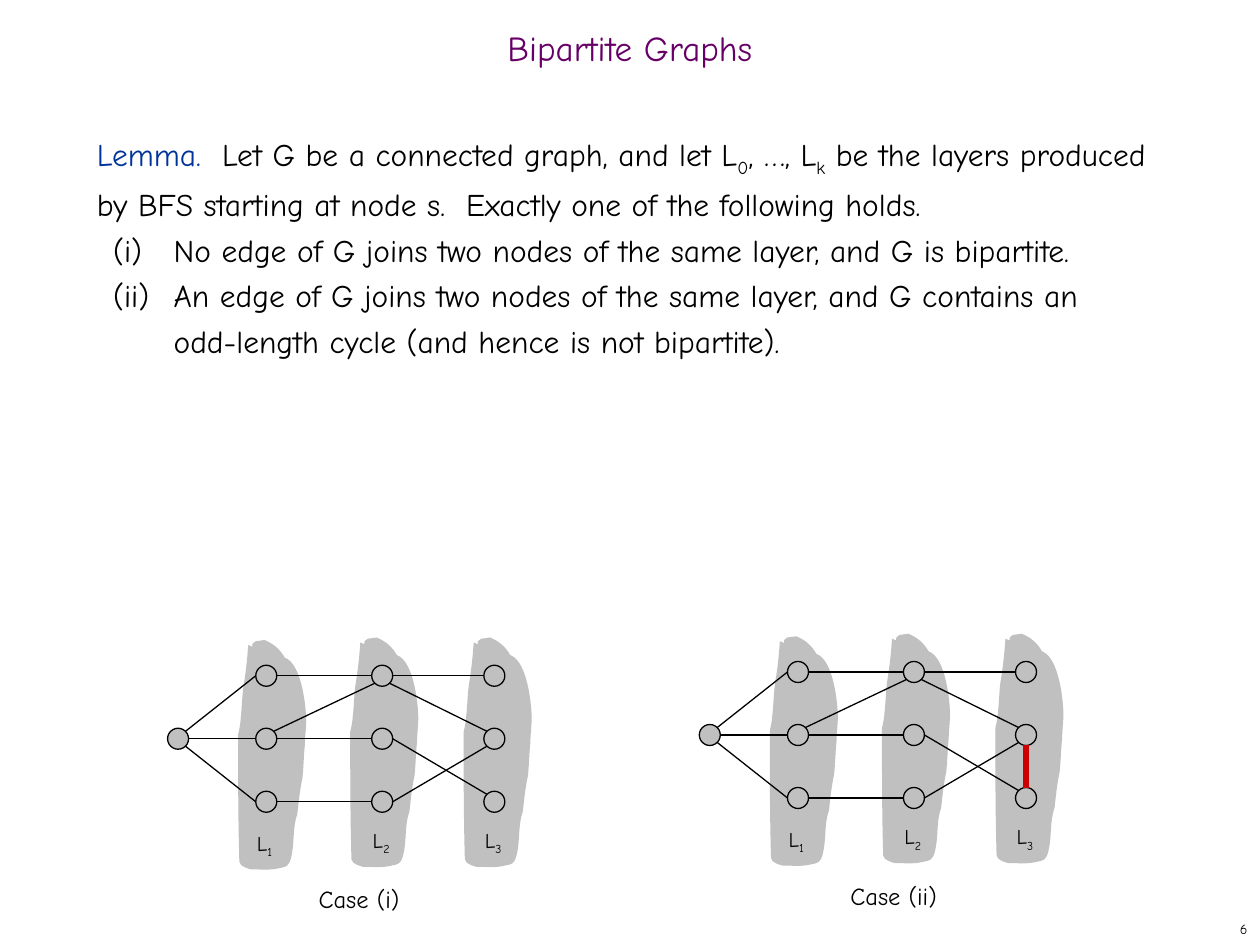
from dataclasses import dataclass
from typing import NamedTuple

from pptx import Presentation
from pptx.dml.color import RGBColor as RGB
from pptx.enum.shapes import MSO_CONNECTOR as CXN, MSO_SHAPE as SHAPE
from pptx.enum.text import MSO_ANCHOR as ANCHOR, MSO_AUTO_SIZE as AUTO, PP_ALIGN as ALIGN
from pptx.oxml.ns import qn
from pptx.util import Inches, Pt

BLACK = RGB(0x00, 0x00, 0x00)
GRAY = RGB(0xC0, 0xC0, 0xC0)
PURPLE = RGB(0x66, 0x00, 0x66)
BLUE = RGB(0x00, 0x33, 0x99)
RED = RGB(0xCC, 0x00, 0x00)
FONT = "Comic Neue"

WIDTH, HEIGHT = 10, 7.5
NODE, DIAG = 1 / 6, 0.06
COLUMNS = (1.33, 2.03, 2.95, 3.84)  # left sides of the nodes: the root, then layers 1 to 3
TOP_ROW, ROW_GAP = 5.28, 0.5
SITES = {
    "E": (NODE / 2, 0), "W": (-NODE / 2, 0), "N": (0, -NODE / 2), "S": (0, NODE / 2),
    "NE": (DIAG, -DIAG), "NW": (-DIAG, -DIAG), "SE": (DIAG, DIAG), "SW": (-DIAG, DIAG),
}
BAND_LEFTS = (1.89, 2.78, 3.68)
BAND_TOPS = (5.08, 5.06, 5.06)
BAND_START = (0.08, 0.04)
BAND_CURVES = (  # two control points and an end point each, from the band's corner
    (0.07, 0.19, 0.06, 0.26, 0.04, 0.39), (0.03, 0.47, 0.03, 0.55, 0.02, 0.63),
    (0.02, 0.67, 0, 0.75, 0, 0.75), (0, 1.09, 0, 1.43, 0.01, 1.76),
    (0.01, 1.8, 0.1, 1.82, 0.1, 1.82), (0.18, 1.82, 0.25, 1.83, 0.33, 1.81),
    (0.38, 1.8, 0.4, 1.8, 0.42, 1.73), (0.45, 1.61, 0.43, 1.49, 0.47, 1.38),
    (0.48, 1.29, 0.49, 1.19, 0.51, 1.1), (0.52, 1.01, 0.52, 0.92, 0.53, 0.83),
    (0.53, 0.77, 0.54, 0.7, 0.54, 0.64), (0.54, 0.55, 0.51, 0.19, 0.37, 0.14),
    (0.33, 0.07, 0.28, 0.03, 0.21, 0), (0.19, 0.01, 0.16, 0, 0.14, 0.01),
    (0.07, 0.05, 0.16, 0.07, 0.08, 0.04),
)


class Node(NamedTuple):
    col: int
    row: int


class Edge(NamedTuple):
    start: Node
    start_site: str
    end: Node
    end_site: str


class Part(NamedTuple):
    text: str
    color: RGB = BLACK
    sub: bool = False


@dataclass(frozen=True)
class Case:
    caption: str
    caption_width: float
    dx: float = 0
    dy: float = 0
    odd_edge: bool = False


ROOT = Node(0, 1)
NODES = [ROOT] + [Node(col, row) for col in (1, 2, 3) for row in range(3)]
EDGES = [
    *(Edge(Node(1, row), "E", Node(2, row), "W") for row in range(3)),
    *(Edge(ROOT, site, Node(1, row), "W") for row, site in enumerate(("NE", "E", "SE"))),
    Edge(Node(1, 1), "NE", Node(2, 0), "SW"),
    Edge(Node(2, 0), "E", Node(3, 0), "W"),
    Edge(Node(2, 0), "SE", Node(3, 1), "NW"),
    Edge(Node(2, 1), "E", Node(3, 2), "NW"),
    Edge(Node(2, 2), "E", Node(3, 1), "SW"),
]
ODD_EDGE = Edge(Node(3, 2), "N", Node(3, 1), "S")
CASES = (Case("Case (i)", 0.86), Case("Case (ii)", 0.91, 4.22, -0.03, True))


def add_parts(p, parts: list[Part], size: float) -> None:
    for part in parts:
        r = p.add_run()
        r.text = part.text
        for name, value in {"name": FONT, "size": Pt(size)}.items():
            setattr(r.font, name, value)
        r.font.color.rgb = part.color
        if part.sub:
            r._r.get_or_add_rPr().set("baseline", "-25000")


def add_text(slide, box: tuple, parts: list[Part], size: float, **tf_format):
    """Add a text box; tf_format sets text frame attributes. Returns the frame."""
    tf = slide.shapes.add_textbox(*map(Inches, box)).text_frame
    for name, value in {"word_wrap": False, **tf_format}.items():
        setattr(tf, name, value)
    add_parts(tf.paragraphs[0], parts, size)
    return tf


def add_band(slide, left: float, top: float) -> None:
    """Draw a layer's wavy background: every three line segments become one Bézier curve."""
    points = [(Inches(left + x), Inches(top + y))
              for curve in BAND_CURVES for x, y in zip(curve[::2], curve[1::2])]
    builder = slide.shapes.build_freeform(
        Inches(left + BAND_START[0]), Inches(top + BAND_START[1]))
    builder.add_line_segments(points, close=True)
    sp = builder.convert_to_shape()
    segments = list(sp._element.iter(qn("a:lnTo")))
    for i in range(0, len(segments), 3):
        curve = segments[i].makeelement(qn("a:cubicBezTo"), {})
        segments[i].addprevious(curve)
        for segment in segments[i:i + 3]:
            curve.append(segment[0])
            segment.getparent().remove(segment)
    sp.shadow.inherit = False
    sp.fill.solid()
    sp.fill.fore_color.rgb = GRAY
    sp.line.fill.background()


def center(case: Case, node: Node) -> tuple[float, float]:
    return (COLUMNS[node.col] + NODE / 2 + case.dx,
            TOP_ROW + NODE / 2 + ROW_GAP * node.row + case.dy)


def add_node(slide, case: Case, node: Node) -> None:
    x, y = center(case, node)
    sp = slide.shapes.add_shape(
        SHAPE.OVAL, *map(Inches, (x - NODE / 2, y - NODE / 2, NODE, NODE)))
    sp.shadow.inherit = False
    sp.fill.solid()
    sp.fill.fore_color.rgb = GRAY
    sp.line.color.rgb = BLACK
    sp.line.width = Pt(0.75)


def add_edge(slide, case: Case, edge: Edge, color: RGB = BLACK, width: float = 0.75) -> None:
    ends = []
    for node, site in (edge[:2], edge[2:]):
        ends += [Inches(c + d) for c, d in zip(center(case, node), SITES[site])]
    line = slide.shapes.add_connector(CXN.STRAIGHT, *ends)
    line.line.color.rgb = color
    line.line.width = Pt(width)
    spPr = line._element.spPr
    spPr.append(spPr.makeelement(qn("a:effectLst"), {}))


def add_case(slide, case: Case) -> None:
    bands = list(zip(BAND_LEFTS, BAND_TOPS))
    for left, top in reversed(bands):
        add_band(slide, left + case.dx, top + case.dy)
    for node in NODES:
        add_node(slide, case, node)
    for edge in EDGES:
        add_edge(slide, case, edge)
    grow = {"auto_size": AUTO.SHAPE_TO_FIT_TEXT}
    add_text(slide, (2.43 + case.dx, 6.97 + case.dy, case.caption_width, 0.33),
             [Part(case.caption)], 14, **grow)
    for layer, (_, top) in enumerate(bands, 1):
        box = (COLUMNS[layer] - 0.09 + case.dx, top + 1.46 + case.dy, 0.35, 0.33)
        add_text(slide, box, [Part("L"), Part(str(layer), sub=True)], 12, **grow)
    if case.odd_edge:
        add_edge(slide, case, ODD_EDGE, RED, 3)


def add_lemma(slide) -> None:
    tf = add_text(slide, (0.67, 1, 8.58, 5.92), [
        Part("Lemma.  ", BLUE), Part("Let G be a connected graph, and let L"),
        Part("0", sub=True), Part(", …, L"), Part("k", sub=True),
        Part(" be the layers produced by BFS starting at node s.  "
             "Exactly one of the following holds."),
    ], 18, word_wrap=True)
    for claim in (
        ("(i)\tNo edge of G joins two nodes of the same layer, and G is bipartite.",),
        ("(ii)\tAn edge of G joins two nodes of the same layer, and G contains an",
         "odd-length cycle (and hence is not bipartite)."),
    ):
        p = tf.add_paragraph()
        pPr = p._p.get_or_add_pPr()
        pPr.set("marL", str(Inches(0.61)))
        pPr.set("indent", str(Inches(-0.48)))
        for i, text in enumerate(claim):
            if i:
                p.add_line_break()
            add_parts(p, [Part(text)], 18)
    for p in tf.paragraphs:
        p.line_spacing = Pt(26)


def main() -> None:
    prs = Presentation()
    prs.slide_width, prs.slide_height = Inches(WIDTH), Inches(HEIGHT)
    slide = prs.slides.add_slide(prs.slide_layouts[6])
    middle = {"vertical_anchor": ANCHOR.MIDDLE}
    number = add_text(slide, (7.92, 7.25, 2.08, 0.25), [Part("6")], 8, **middle)
    number.paragraphs[0].alignment = ALIGN.RIGHT
    title = add_text(slide, (0, 0.17, WIDTH, 0.5), [Part("Bipartite Graphs", PURPLE)], 20,
                     word_wrap=True, **middle)
    for name, value in {"alignment": ALIGN.CENTER, "line_spacing": 0.7}.items():
        setattr(title.paragraphs[0], name, value)
    add_lemma(slide)
    for case in CASES:
        add_case(slide, case)
    prs.save("out.pptx")


if __name__ == "__main__":
    main()
